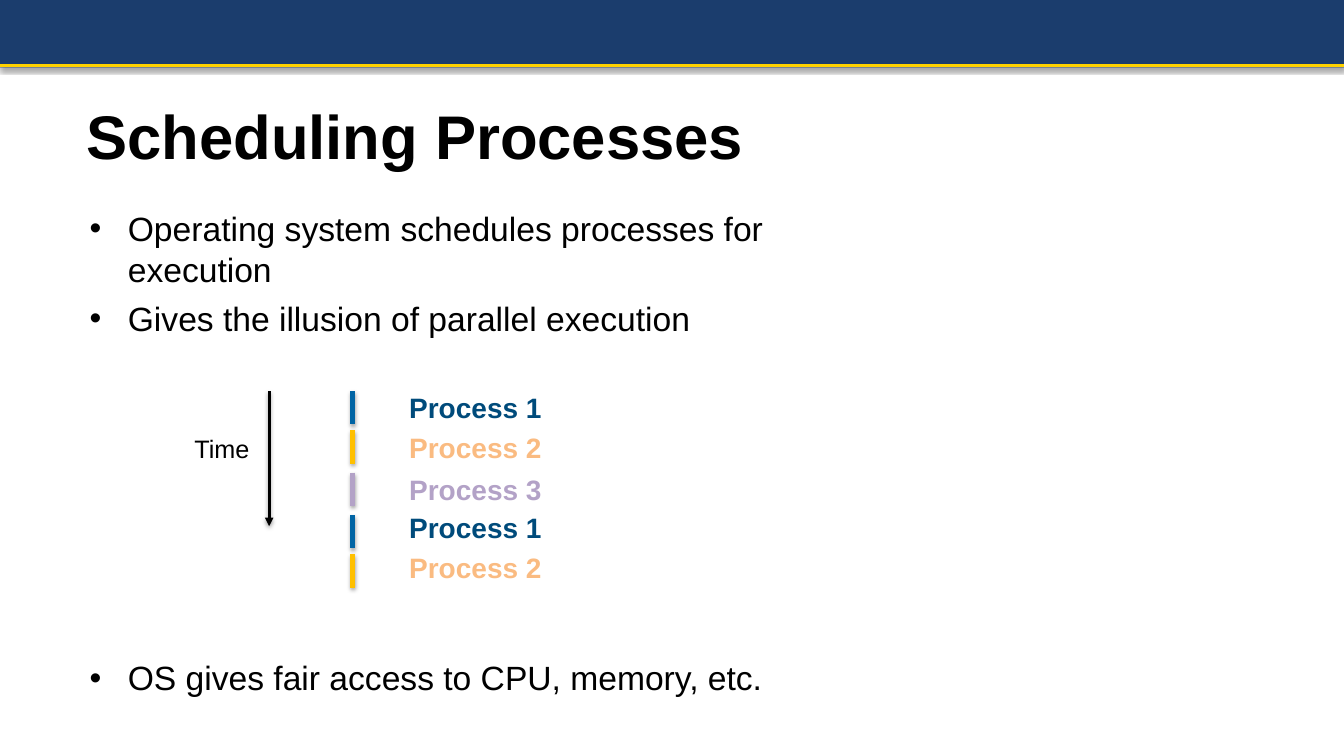
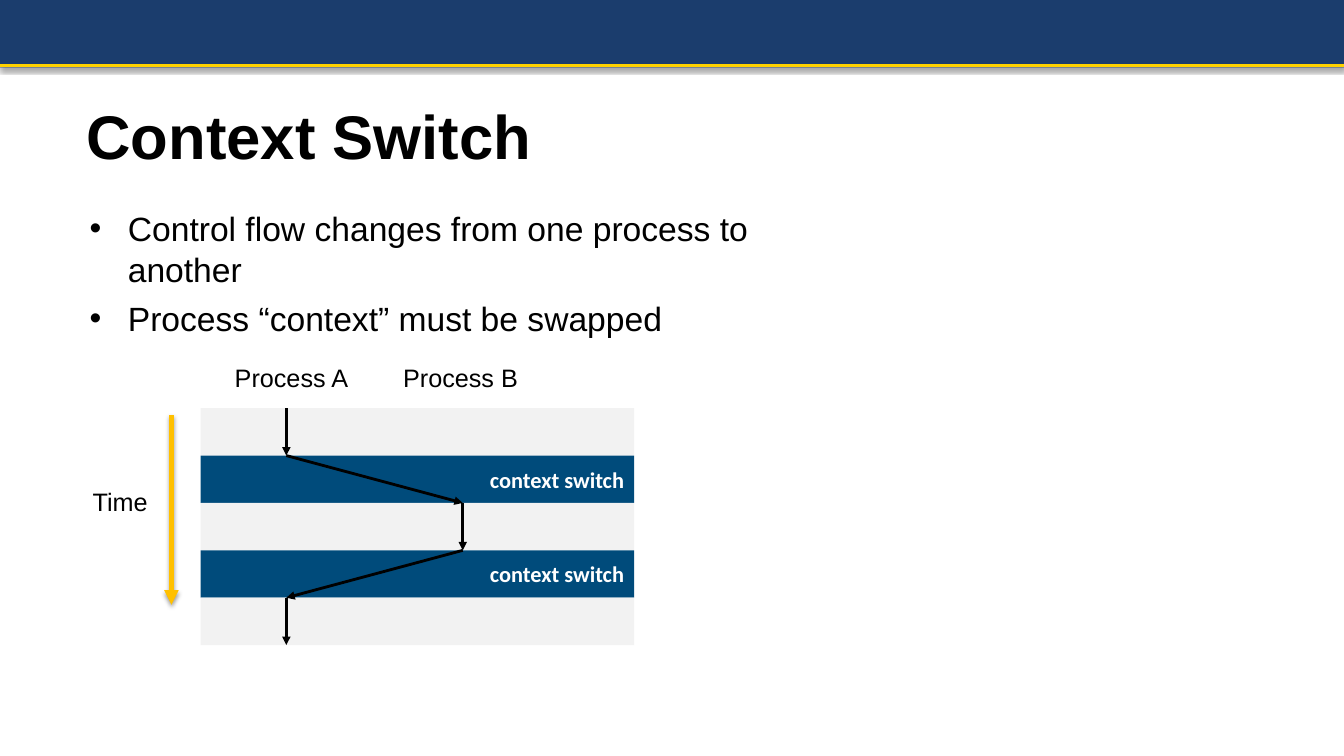
from itertools import pairwise
from lxml import etree
from pptx import Presentation
from pptx.dml.color import RGBColor
from pptx.enum.shapes import MSO_CONNECTOR, MSO_SHAPE
from pptx.enum.text import MSO_ANCHOR, PP_ALIGN
from pptx.oxml.ns import qn
from pptx.util import Inches, Pt

STRAIGHT, RECTANGLE = MSO_CONNECTOR.STRAIGHT, MSO_SHAPE.RECTANGLE
MIDDLE, TOP = MSO_ANCHOR.MIDDLE, MSO_ANCHOR.TOP
RIGHT = PP_ALIGN.RIGHT

NAVY, YELLOW, GOLD = "1B3D6D", "FFD200", "FFC000"
BLACK, WHITE, GREY = "000000", "FFFFFF", "F2F2F2"
DEEP_BLUE, BLUE, ORANGE, PURPLE = "004B7B", "0064A4", "FABB81", "B3A2C7"
PAGE_WIDTH, PAGE_HEIGHT = 13.33, 7.5
BULLET_INDENT = 0.38
LINE_SHADOW = (38, 3.1, 1.6)
BAND_SHADOW = (35, 3.1, 1.8)

SCHEDULING = {
    "title": "Scheduling Processes",
    "bullets": [
        "Operating system schedules processes for execution",
        "Gives the illusion of parallel execution",
    ],
    "closing": ["OS gives fair access to CPU, memory, etc."],
}
PROCESS_COLOURS = {
    "Process 1": (BLUE, DEEP_BLUE),
    "Process 2": (GOLD, ORANGE),
    "Process 3": (PURPLE, PURPLE),
}
TIME_SLICES = [
    ("Process 1", 3.88, 3.83),
    ("Process 2", 4.27, 4.22),
    ("Process 3", 4.69, 4.64),
    ("Process 1", 5.11, 5.02),
    ("Process 2", 5.5, 5.41),
]
SLICE_X, SLICE_LENGTH, SLICE_LABEL_LEFT = 3.5, 0.33, 3.96

SWITCHING = {
    "title": "Context Switch",
    "bullets": [
        "Control flow changes from one process to another",
        "Process “context” must be swapped",
    ],
}
PHASES = ["", "context switch", "", "context switch", ""]
PHASE_LEFT, PHASE_TOP, PHASE_WIDTH, PHASE_HEIGHT = 1.99, 4.05, 4.3, 0.47
PROCESS_LABELS = [("Process A", 2.23), ("Process B", 3.9)]
A_X, B_X = 2.84, 4.59
FLOW_XS = [A_X, A_X, B_X, B_X, A_X, A_X]


def colour(value):
    """Turn a hex string into a colour."""
    return RGBColor.from_string(value)


def set_effects(shape, shadow=None):
    """Replace inherited effects with a downward shadow or with none."""
    effects = etree.SubElement(shape._element.spPr, qn("a:effectLst"))
    if shadow:
        alpha, blur, distance = shadow
        outer = etree.SubElement(
            effects, qn("a:outerShdw"), blurRad=str(Pt(blur)),
            dist=str(Pt(distance)), dir="5400000", rotWithShape="0")
        shade = etree.SubElement(outer, qn("a:srgbClr"), val=BLACK)
        etree.SubElement(shade, qn("a:alpha"), val=str(alpha * 1000))


def add_line(page, start, end, line_colour, width, arrow=False, shadow=None):
    """Draw a straight line between two points in inches."""
    line = page.shapes.add_connector(
        STRAIGHT, *(Inches(value) for value in (*start, *end)))
    line.line.color.rgb = colour(line_colour)
    line.line.width = Pt(width)
    if arrow:
        outline = line.line._get_or_add_ln()
        etree.SubElement(outline, qn("a:tailEnd"), type="triangle")
    set_effects(line, shadow)


def add_bar(page, left, top, width, height, fill, shadow=None):
    """Draw a filled rectangle without an outline."""
    bar = page.shapes.add_shape(
        RECTANGLE, Inches(left), Inches(top), Inches(width), Inches(height))
    bar.fill.solid()
    bar.fill.fore_color.rgb = colour(fill)
    bar.line.fill.background()
    set_effects(bar, shadow)
    return bar


def style(para, size, text_colour=BLACK, bold=False, name="Arial"):
    """Set the font of a whole paragraph."""
    para.font.name = name
    para.font.size = Pt(size)
    para.font.bold = bold
    para.font.color.rgb = colour(text_colour)


def add_text(page, text, left, top, width, height, size,
             text_colour=BLACK, bold=False, anchor=TOP):
    """Add a one-paragraph text box."""
    box = page.shapes.add_textbox(
        Inches(left), Inches(top), Inches(width), Inches(height))
    frame = box.text_frame
    frame.word_wrap = True
    frame.vertical_anchor = anchor
    para = frame.paragraphs[0]
    para.text = text
    style(para, size, text_colour, bold)


def add_bullets(page, items, top, height):
    """Add a bulleted list with hanging indents."""
    box = page.shapes.add_textbox(
        Inches(0.79), Inches(top), Inches(7.17), Inches(height))
    frame = box.text_frame
    frame.word_wrap = True
    for index, item in enumerate(items):
        para = frame.add_paragraph() if index else frame.paragraphs[0]
        para.text = item
        properties = para._p.get_or_add_pPr()
        properties.set("marL", str(Inches(BULLET_INDENT)))
        properties.set("indent", str(-Inches(BULLET_INDENT)))
        etree.SubElement(properties, qn("a:buFont"), typeface="Arial")
        etree.SubElement(properties, qn("a:buChar"), char="•")
        para.line_spacing = 1.03
        if index:
            para.space_before = Pt(5)
        style(para, 24)


def add_page(deck, content):
    """Add a page with the band, title and opening bullets."""
    page = deck.slides.add_slide(deck.slide_layouts[6])
    add_bar(page, 0, 0, PAGE_WIDTH, 0.67, NAVY, BAND_SHADOW)
    add_line(page, (0, 0.65), (PAGE_WIDTH, 0.65), YELLOW, 2.25)
    add_text(page, content["title"], 0.76, 0.92, 11.8, 0.84, 44,
             bold=True, anchor=MIDDLE)
    add_bullets(page, content["bullets"], 2, 1.35)
    return page


def add_time_arrow(page, x, top, bottom, line_colour, width, label_at):
    """Draw a downward time axis with its label."""
    add_line(page, (x, top), (x, bottom), line_colour, width, True, LINE_SHADOW)
    add_text(page, "Time", *label_at, 0.8, 0.4, 18)


def build_scheduling(deck):
    """Build the page with processes taking turns."""
    page = add_page(deck, SCHEDULING)
    add_time_arrow(page, 2.67, 3.88, 5.22, BLACK, 2, (1.83, 4.25))
    for process, top, label_top in TIME_SLICES:
        line_colour, text_colour = PROCESS_COLOURS[process]
        add_line(page, (SLICE_X, top), (SLICE_X, top + SLICE_LENGTH),
                 line_colour, 3.5, shadow=LINE_SHADOW)
        add_text(page, process, SLICE_LABEL_LEFT, label_top, 1.7, 0.44, 20,
                 text_colour, bold=True)
    add_bullets(page, SCHEDULING["closing"], 6.46, 0.5)


def build_switching(deck):
    """Build the page with control passing between two processes."""
    page = add_page(deck, SWITCHING)
    add_time_arrow(page, 1.7, 4.12, 6, GOLD, 3.5, (0.82, 4.78))
    for label, left in PROCESS_LABELS:
        add_text(page, label, left, 3.55, 1.5, 0.4, 18)
    for index, text in enumerate(PHASES):
        bar = add_bar(page, PHASE_LEFT, PHASE_TOP + index * PHASE_HEIGHT,
                      PHASE_WIDTH, PHASE_HEIGHT, DEEP_BLUE if text else GREY)
        if text:
            bar.text_frame.vertical_anchor = MIDDLE
            para = bar.text_frame.paragraphs[0]
            para.text = text
            para.alignment = RIGHT
            style(para, 16, WHITE, True, "Calibri")
    points = [(x, PHASE_TOP + index * PHASE_HEIGHT)
              for index, x in enumerate(FLOW_XS)]
    for start, end in pairwise(points):
        add_line(page, start, end, BLACK, 2, arrow=True)


def main():
    """Build and save the deck."""
    deck = Presentation()
    deck.slide_width = Inches(PAGE_WIDTH)
    deck.slide_height = Inches(PAGE_HEIGHT)
    build_scheduling(deck)
    build_switching(deck)
    deck.save("out.pptx")


if __name__ == "__main__":
    main()
